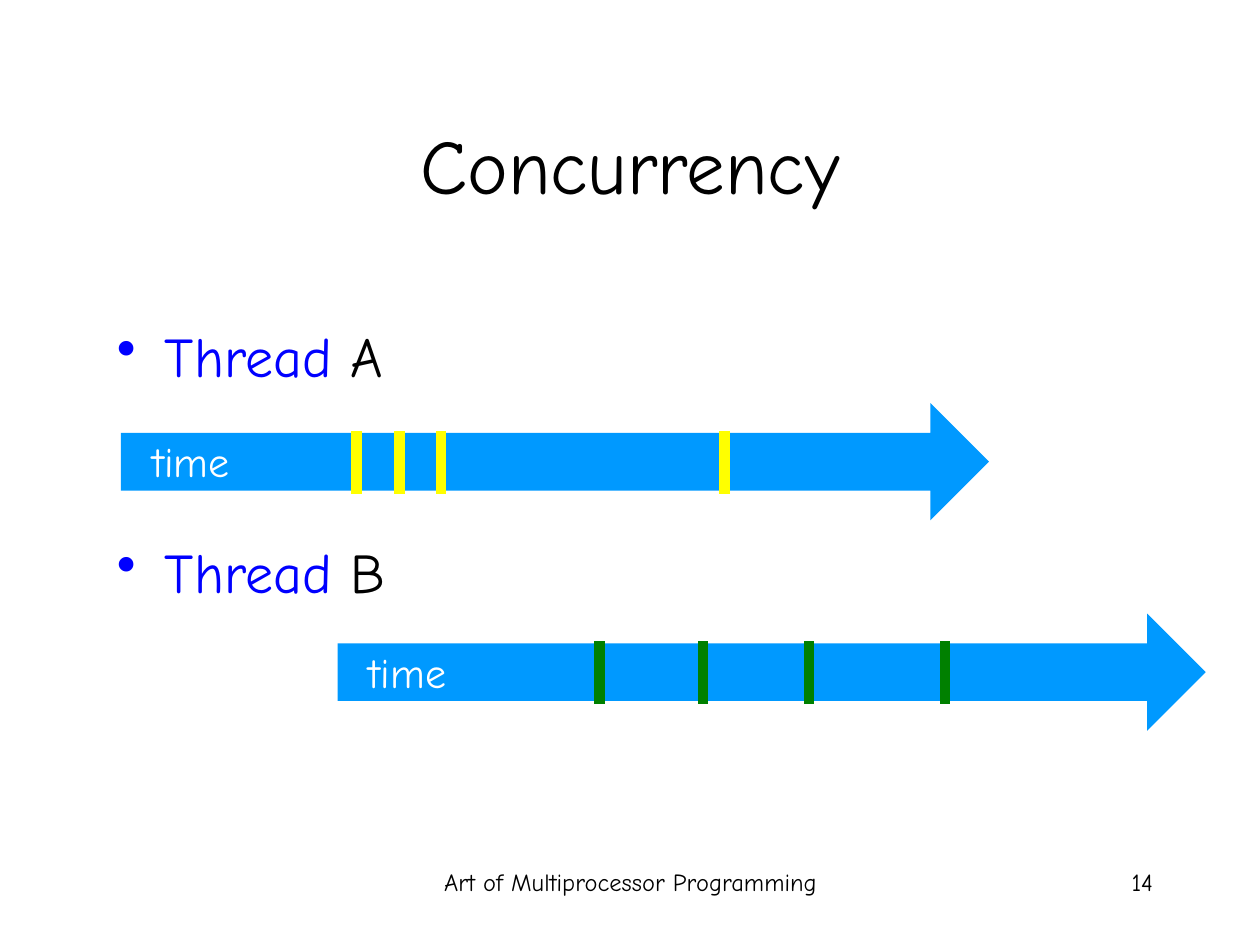
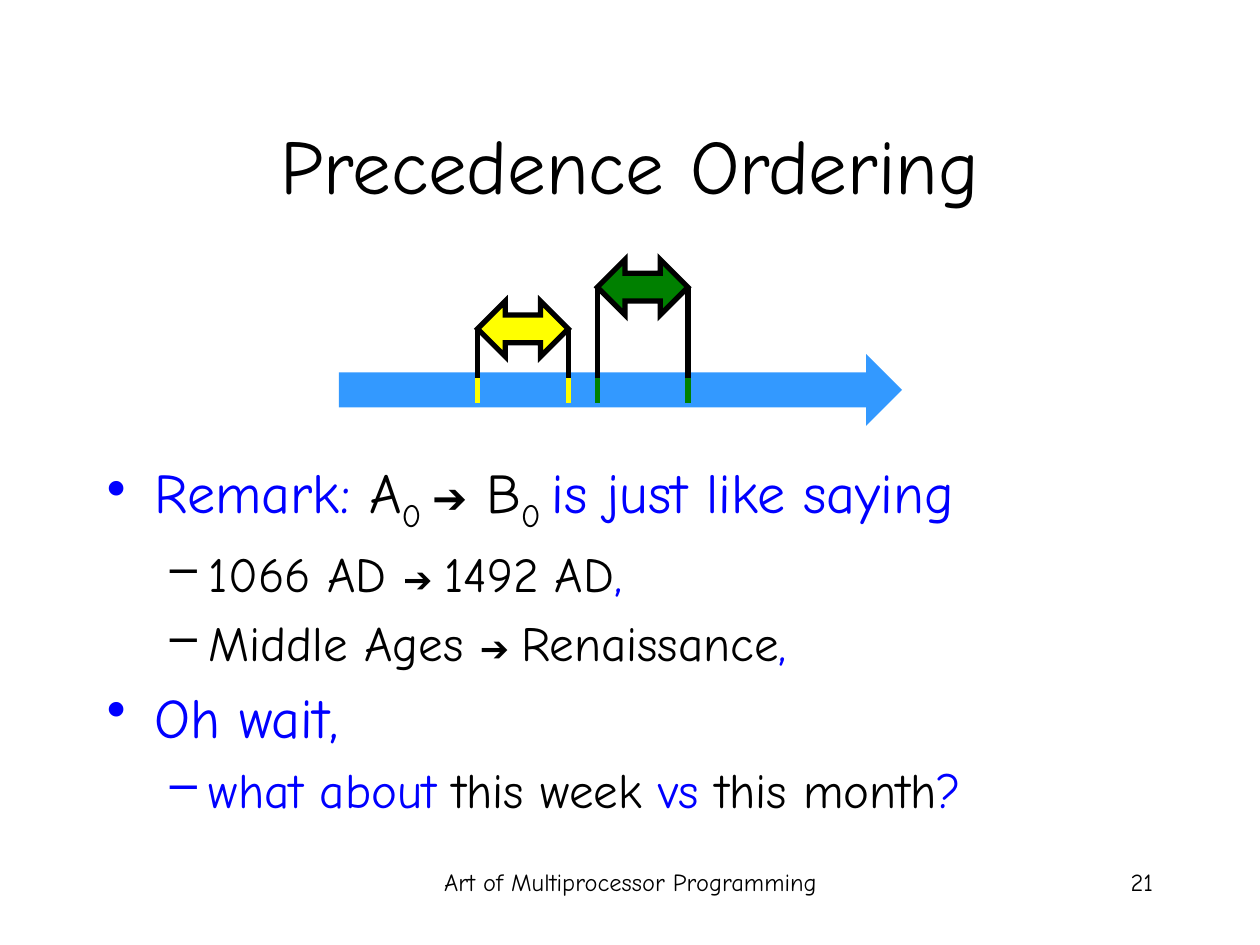
from dataclasses import dataclass
from typing import NamedTuple

from lxml.etree import SubElement
from pptx import Presentation
from pptx.dml.color import RGBColor
from pptx.enum.shapes import MSO_CONNECTOR, MSO_SHAPE
from pptx.enum.text import MSO_ANCHOR, PP_ALIGN
from pptx.oxml.ns import qn
from pptx.util import Inches, Pt

BLACK = RGBColor(0x00, 0x00, 0x00)
WHITE = RGBColor(0xFF, 0xFF, 0xFF)
BLUE = RGBColor(0x00, 0x00, 0xFF)
THREAD_BLUE = RGBColor(0x00, 0x99, 0xFF)
TIMELINE_BLUE = RGBColor(0x33, 0x99, 0xFF)
YELLOW = RGBColor(0xFF, 0xFF, 0x00)
GREEN = RGBColor(0x00, 0x80, 0x00)

FONT = "Comic Neue"
FOOTER = "Art of Multiprocessor Programming"
SUBSCRIPT = "-25000"


class Box(NamedTuple):
    left: float
    top: float
    width: float
    height: float


@dataclass
class Run:
    text: str
    color: RGBColor = BLACK
    size: int = 32
    subscript: bool = False


@dataclass
class Para:
    runs: list[Run]
    align: PP_ALIGN = PP_ALIGN.LEFT
    bullet: str = ""
    bullet_color: RGBColor = BLUE
    level: int = 0
    space_before: float = 0


@dataclass
class Thread:
    left: float
    top: float
    tick_color: RGBColor
    ticks: list[float]


@dataclass
class Interval:
    left: float
    top: float
    color: RGBColor


# Text
def set_bullet(p, para: Para) -> None:
    margin, indent = ((0.38, -0.38), (0.81, -0.31))[para.level]
    pPr = p._p.get_or_add_pPr()
    pPr.set("marL", str(Inches(margin)))
    pPr.set("indent", str(Inches(indent)))
    color = SubElement(pPr, qn("a:buClr"))
    SubElement(color, qn("a:srgbClr")).set("val", str(para.bullet_color))
    SubElement(pPr, qn("a:buChar")).set("char", para.bullet)


def add_text(slide, box: Box, paras: list[Para], anchor=MSO_ANCHOR.TOP) -> None:
    tf = slide.shapes.add_textbox(*map(Inches, box)).text_frame
    tf.word_wrap = True
    tf.vertical_anchor = anchor
    for i, para in enumerate(paras):
        p = tf.add_paragraph() if i else tf.paragraphs[0]
        if para.bullet:
            set_bullet(p, para)
        formats = {"alignment": para.align, "level": para.level,
                   "space_before": Pt(para.space_before)}
        for name, value in formats.items():
            setattr(p, name, value)
        for run in para.runs:
            r = p.add_run()
            r.text = run.text
            for name, value in {"name": FONT, "size": Pt(run.size)}.items():
                setattr(r.font, name, value)
            r.font.color.rgb = run.color
            if run.subscript:
                r._r.get_or_add_rPr().set("baseline", SUBSCRIPT)


def add_label(slide, box: Box, text: str, size: int, align: PP_ALIGN,
              color: RGBColor = BLACK, anchor=MSO_ANCHOR.TOP) -> None:
    add_text(slide, box, [Para([Run(text, color, size)], align)], anchor)


# Shapes and lines
def add_arrow(slide, kind: MSO_SHAPE, box: Box, fill: RGBColor, line: RGBColor) -> None:
    sp = slide.shapes.add_shape(kind, *map(Inches, box))
    sp.shadow.inherit = False
    sp.fill.solid()
    sp.fill.fore_color.rgb = fill
    sp.line.color.rgb = line
    sp.line.width = Pt(3)
    SubElement(sp.line._get_or_add_ln(), qn("a:miter")).set("lim", "800000")


def add_vertical(slide, x: float, top: float, bottom: float,
                 color: RGBColor, width: float) -> None:
    ends = map(Inches, (x, top, x, bottom))
    line = slide.shapes.add_connector(MSO_CONNECTOR.STRAIGHT, *ends)
    line.line.color.rgb = color
    line.line.width = Pt(width)
    SubElement(line._element.spPr, qn("a:effectLst"))


def add_slide(prs, title: str, number: int):
    """Blank slide with the shared title, footer and number."""
    slide = prs.slides.add_slide(prs.slide_layouts[6])
    add_label(slide, Box(3.42, 6.83, 3.17, 0.5), FOOTER, 14, PP_ALIGN.CENTER)
    add_label(slide, Box(7.17, 6.83, 2.08, 0.5), str(number), 14, PP_ALIGN.RIGHT)
    add_label(slide, Box(0.75, 0.67, 8.5, 1.25), title, 44, PP_ALIGN.CENTER,
              anchor=MSO_ANCHOR.MIDDLE)
    return slide


def add_thread(slide, thread: Thread) -> None:
    left, top = thread.left, thread.top
    add_arrow(slide, MSO_SHAPE.RIGHT_ARROW, Box(left, top, 6.84, 0.83),
              THREAD_BLUE, THREAD_BLUE)
    add_label(slide, Box(left + 0.05, top + 0.16, 0.89, 0.5), "time", 24,
              PP_ALIGN.RIGHT, WHITE)
    for x in thread.ticks:
        add_vertical(slide, x, top + 0.17, top + 0.67, thread.tick_color, 6)


def add_interval(slide, interval: Interval) -> None:
    width, height, lead_end, tick_end = 0.72, 0.44, 3.0, 3.2
    left, top = interval.left, interval.top
    for x in (left, left + width):
        add_vertical(slide, x, top + height / 2, lead_end, BLACK, 3)
        add_vertical(slide, x, lead_end, tick_end, interval.color, 3)
    add_arrow(slide, MSO_SHAPE.LEFT_RIGHT_ARROW, Box(left, top, width, height),
              interval.color, BLACK)


def build_concurrency(prs) -> None:
    slide = add_slide(prs, "Concurrency", 14)
    add_text(slide, Box(0.83, 2.5, 8.5, 3.58), [
        Para([Run("Thread ", BLUE), Run(name)], bullet="•", space_before=space)
        for name, space in (("A", 0), ("B", 85))
    ])
    for thread in (
        Thread(0.98, 3.25, YELLOW, [2.83, 3.17, 3.5, 5.75]),
        Thread(2.7, 4.92, GREEN, [4.76, 5.58, 6.42, 7.5]),
    ):
        add_thread(slide, thread)


def build_precedence(prs) -> None:
    slide = add_slide(prs, "Precedence Ordering", 21)

    # Timeline with its two intervals
    add_arrow(slide, MSO_SHAPE.RIGHT_ARROW, Box(2.71, 2.86, 4.42, 0.47),
              TIMELINE_BLUE, TIMELINE_BLUE)
    for interval in (Interval(3.79, 2.39, YELLOW), Interval(4.74, 2.06, GREEN)):
        add_interval(slide, interval)

    # Remarks
    def topic(runs: list[Run], space: float = 0) -> Para:
        return Para(runs, bullet="•", space_before=space)

    def detail(runs: list[Run], color: RGBColor = BLACK) -> Para:
        return Para(runs, bullet="–", bullet_color=color, level=1, space_before=5.6)

    def ordered(first: str, second: str) -> Para:
        return detail([Run(first + " ", size=28), Run("➔ ", size=20),
                       Run(second, size=28), Run(",", BLUE, 28)])

    add_text(slide, Box(0.75, 3.58, 8.5, 3.08), [
        topic([Run("Remark: ", BLUE), Run("A"), Run("0 ", subscript=True),
               Run("➔", size=24), Run(" B"), Run("0 ", subscript=True),
               Run("is just like saying", BLUE)]),
        ordered("1066 AD", "1492 AD"),
        ordered("Middle Ages", "Renaissance"),
        topic([Run("Oh wait,", BLUE)], 6.4),
        detail([Run("what about ", BLUE, 28), Run("this week", size=28),
                Run(" vs ", BLUE, 28), Run("this month", size=28),
                Run("?", BLUE, 28)], BLUE),
    ])


def main() -> None:
    prs = Presentation()
    prs.slide_width, prs.slide_height = Inches(10), Inches(7.5)
    build_concurrency(prs)
    build_precedence(prs)
    prs.save("out.pptx")


if __name__ == "__main__":
    main()
